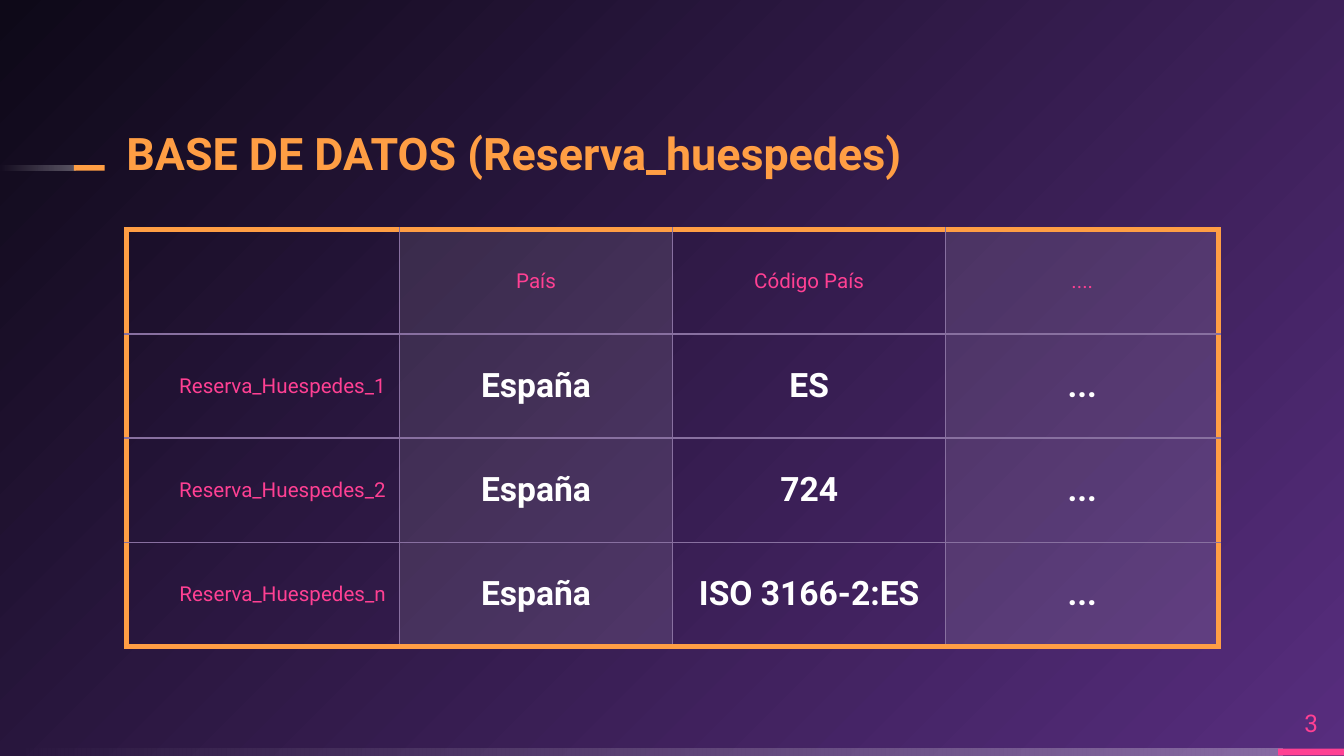
import lxml.etree
import pptx
import pptx.util
import pptx.dml.color
import pptx.enum.shapes
import pptx.enum.text
import pptx.oxml.ns

Inches = pptx.util.Inches
Pt = pptx.util.Pt
qn = pptx.oxml.ns.qn
Align = pptx.enum.text.PP_ALIGN
Anchor = pptx.enum.text.MSO_ANCHOR

FONT = "Roboto"
HUES = {
    "night": "0E0918",
    "violet": "572D7E",
    "white": "FFFFFF",
    "pink": "FF4093",
    "orange": "FF9E44",
    "line": "8870A0",
}
ROWS = [
    ["", "País", "Código País", "...."],
    ["Reserva_Huespedes_1", "España", "ES", "..."],
    ["Reserva_Huespedes_2", "España", "724", "..."],
    ["Reserva_Huespedes_n", "España", "ISO 3166-2:ES", "..."],
]


def rgb(hue):
    return pptx.dml.color.RGBColor.from_string(HUES[hue])


def blend(fill, hues, angle):
    fill.gradient()
    fill.gradient_angle = angle
    for stop, hue in zip(fill.gradient_stops, hues):
        stop.color.rgb = rgb(hue)


def fade(node, shares):
    for color, share in zip(node.iter(qn("a:srgbClr")), shares):
        alpha = lxml.etree.SubElement(color, qn("a:alpha"))
        alpha.set("val", str(share * 1000))


def style(para, size, hue, bold=False, align=Align.LEFT):
    para.alignment = align
    for run in para.runs:
        run.font.name = FONT
        run.font.size = Pt(size)
        run.font.bold = bold
        run.font.color.rgb = rgb(hue)


def add_bar(slide, box, hue=None):
    bar = slide.shapes.add_shape(
        pptx.enum.shapes.MSO_SHAPE.RECTANGLE, *map(Inches, box))
    bar.shadow.inherit = False
    bar.line.fill.background()
    if hue:
        bar.fill.solid()
        bar.fill.fore_color.rgb = rgb(hue)
    else:
        blend(bar.fill, ["white", "white"], 180)
        fade(bar._element.spPr, [30, 0])


def add_text(slide, box, text, anchor):
    frame = slide.shapes.add_textbox(*map(Inches, box)).text_frame
    frame.word_wrap = True
    frame.vertical_anchor = anchor
    frame.margin_left = frame.margin_right = 0
    frame.margin_top = frame.margin_bottom = 0
    frame.text = text
    return frame.paragraphs[0]


def add_title(slide, box, text):
    left, top, width, height = box
    dash = top + 0.32
    add_bar(slide, (0, dash, left - 0.38, 0.04))
    add_bar(slide, (left - 0.39, dash, 0.23, 0.04), "orange")
    para = add_text(slide, box, text, Anchor.BOTTOM)
    para.line_spacing = 0.9
    style(para, 24, "orange", bold=True)


def add_foot(slide, box, text):
    left, top, width, height = box
    tab = 0.49
    edge = left + width - tab
    add_bar(slide, (left, top, edge + 0.03, height))
    add_bar(slide, (edge, top, tab, height), "pink")
    para = add_text(slide, (edge, top - 0.38, tab, 0.38), text, Anchor.MIDDLE)
    style(para, 13, "pink", align=Align.CENTER)


def edge_cell(cell, outer):
    props = cell._tc.get_or_add_tcPr()
    for spot, (side, out) in enumerate(zip("LRTB", outer)):
        line = lxml.etree.Element(qn("a:ln" + side))
        line.set("w", str(Pt(3 if out else 0.75)))
        fill = lxml.etree.SubElement(line, qn("a:solidFill"))
        color = lxml.etree.SubElement(fill, qn("a:srgbClr"))
        color.set("val", HUES["orange" if out else "line"])
        props.insert(spot, line)


def fill_cell(cell, text, row, col):
    cell.text = text
    cell.vertical_anchor = Anchor.MIDDLE
    align = Align.CENTER if col else Align.RIGHT
    body = row > 0 and col > 0
    size, hue = (18, "white") if body else (11, "pink")
    style(cell.text_frame.paragraphs[0], size, hue, body, align)
    if col % 2:
        cell.fill.solid()
        cell.fill.fore_color.rgb = rgb("white")
        fade(cell._tc.tcPr, [10])
    else:
        cell.fill.background()


def add_grid(slide, box, rows):
    high, wide = len(rows), len(rows[0])
    table = slide.shapes.add_table(high, wide, *map(Inches, box)).table
    table.first_row = table.horz_banding = False
    for col in table.columns:
        col.width = Inches(box[2] / wide)
    for row in table.rows:
        row.height = Inches(box[3] / high)
    for y, texts in enumerate(rows):
        for x, text in enumerate(texts):
            cell = table.cell(y, x)
            fill_cell(cell, text, y, x)
            edge_cell(cell, (x == 0, x == wide - 1, y == 0, y == high - 1))


def main():
    deck = pptx.Presentation()
    deck.slide_width = Inches(10)
    deck.slide_height = deck.slide_width * 9 // 16
    slide = deck.slides.add_slide(deck.slide_layouts[6])
    blend(slide.background.fill, ["night", "violet"], 315)
    add_foot(slide, (0, 5.57, 10, 0.05), "3")
    add_title(slide, (0.94, 0.91, 8.13, 0.43),
              "BASE DE DATOS (Reserva_huespedes)")
    add_grid(slide, (0.94, 1.71, 8.13, 3.1), ROWS)
    deck.save("out.pptx")


if __name__ == "__main__":
    main()
